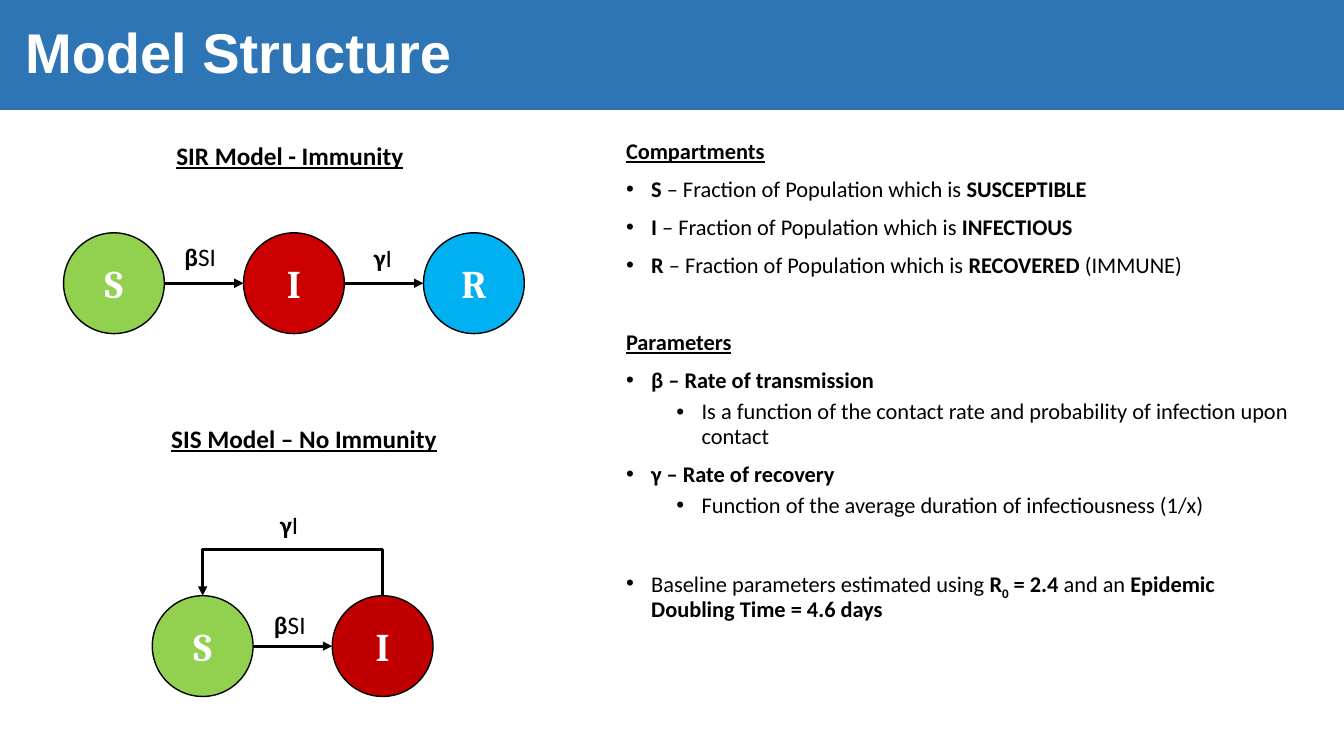
import pptx
import pptx.util
import pptx.dml.color
import pptx.enum.shapes
import pptx.enum.text
import pptx.oxml
import pptx.oxml.ns
import lxml.etree

COLOURS = {
    "band": "2E75B6",
    "susceptible": "92D050",
    "infectious": "CC0000",
    "infectious_dark": "C00000",
    "recovered": "00B0F0",
    "ink": "000000",
    "paper": "FFFFFF",
}
WIDTH = pptx.util.Inches(13.33)
HEIGHT = pptx.util.Inches(7.5)
CIRCLE_WIDTH = 7.5
CIRCLE_HEIGHT = 13.33
CIRCLE_STEP = 13.39
SIR_LEFT, SIR_TOP = 4.73, 30.8
SIS_LEFT, SIS_TOP = 11.33, 78.8
LOOP_TOP = 72.67
LABEL_HEIGHT = 5.33
SECTION_GAP = 37.6

BODY = [
    (None, 0, [("Compartments", "bu")]),
    (0, 10, [("S", "b"), (" – Fraction of Population which is ", ""), ("SUSCEPTIBLE", "b")]),
    (0, 10, [("I", "b"), (" – Fraction of Population which is ", ""), ("INFECTIOUS", "b")]),
    (0, 10, [("R", "b"), (" – Fraction of Population which is ", ""), ("RECOVERED", "b"),
             (" (IMMUNE)", "")]),
    (None, SECTION_GAP, [("Parameters", "bu")]),
    (0, 10, [("β – Rate of transmission", "b")]),
    (1, 5, [("Is a function of the contact rate and probability of infection upon contact", "")]),
    (0, 10, [("γ – Rate of recovery", "b")]),
    (1, 5, [("Function of the average duration of infectiousness (1/x)", "")]),
    (0, SECTION_GAP, [("Baseline parameters estimated using ", ""), ("R", "b"), ("0", "bs"),
                      (" = 2.4 ", "b"), ("and an ", ""),
                      ("Epidemic Doubling Time = 4.6 days", "b")]),
]


def across(percent):
    return round(WIDTH * percent / 100)


def down(percent):
    return round(HEIGHT * percent / 100)


def place(left, top, width, height):
    return across(left), down(top), across(width), down(height)


def colour(name):
    return pptx.dml.color.RGBColor.from_string(COLOURS[name])


def write_spans(para, spans, size, font="Calibri", ink="ink"):
    for text, style in spans:
        span = para.add_run()
        span.text = text
        span.font.name = font
        span.font.size = pptx.util.Pt(size)
        span.font.color.rgb = colour(ink)
        span.font.bold = "b" in style
        span.font.underline = "u" in style
        if "s" in style:
            span._r.get_or_add_rPr().set("baseline", "-25000")


def add_bullet(para, level):
    para.level = level
    properties = para._p.get_or_add_pPr()
    properties.set("marL", str(pptx.util.Inches(0.25 + 0.5 * level)))
    properties.set("indent", str(-pptx.util.Inches(0.25)))
    font = lxml.etree.SubElement(properties, pptx.oxml.ns.qn("a:buFont"))
    font.set("typeface", "Arial")
    mark = lxml.etree.SubElement(properties, pptx.oxml.ns.qn("a:buChar"))
    mark.set("char", "•")


def add_text(page, position, spans, wrap=True):
    box = page.shapes.add_textbox(*place(*position))
    box.text_frame.word_wrap = wrap
    write_spans(box.text_frame.paragraphs[0], spans, 18)


def add_body(page):
    box = page.shapes.add_textbox(*place(45.84, 17.87, 51.31, 75.6))
    frame = box.text_frame
    frame.word_wrap = True
    for index, (level, gap, spans) in enumerate(BODY):
        para = frame.add_paragraph() if index else frame.paragraphs[0]
        if level is not None:
            add_bullet(para, level)
        para.line_spacing = 0.9
        para.space_before = pptx.util.Pt(gap)
        write_spans(para, spans, 16)


def add_filled(page, kind, position, fill):
    shape = page.shapes.add_shape(kind, *place(*position))
    shape.shadow.inherit = False
    shape.fill.solid()
    shape.fill.fore_color.rgb = colour(fill)
    shape.text_frame.vertical_anchor = pptx.enum.text.MSO_ANCHOR.MIDDLE
    return shape


def add_title(page, text):
    band = add_filled(page, pptx.enum.shapes.MSO_SHAPE.RECTANGLE, (0, 0, 100, 14.53), "band")
    band.line.fill.background()
    band.text_frame.margin_left = pptx.util.Inches(0.25)
    para = band.text_frame.paragraphs[0]
    para.alignment = pptx.enum.text.PP_ALIGN.LEFT
    para.line_spacing = 0.9
    write_spans(para, [(text, "b")], 40, "Arial", "paper")


def add_compartment(page, left, top, letter, fill):
    position = (left, top, CIRCLE_WIDTH, CIRCLE_HEIGHT)
    circle = add_filled(page, pptx.enum.shapes.MSO_SHAPE.OVAL, position, fill)
    circle.line.color.rgb = colour("ink")
    circle.line.width = pptx.util.Pt(1)
    para = circle.text_frame.paragraphs[0]
    para.alignment = pptx.enum.text.PP_ALIGN.CENTER
    write_spans(para, [(letter, "b")], 28, "Cambria", "paper")


def style_arrow(arrow):
    arrow.line.color.rgb = colour("ink")
    arrow.line.width = pptx.util.Pt(2.25)
    head = lxml.etree.SubElement(arrow.line._get_or_add_ln(), pptx.oxml.ns.qn("a:tailEnd"))
    head.set("type", "triangle")


def add_flow(page, left, top):
    start = left + CIRCLE_WIDTH
    end = left + CIRCLE_STEP
    middle = down(top + CIRCLE_HEIGHT / 2)
    arrow = page.shapes.add_connector(
        pptx.enum.shapes.MSO_CONNECTOR.STRAIGHT, across(start), middle, across(end), middle)
    style_arrow(arrow)
    lxml.etree.SubElement(arrow._element.spPr, pptx.oxml.ns.qn("a:effectLst"))


def add_return_flow(page, left, top):
    target = across(left + CIRCLE_WIDTH / 2)
    source = across(left + CIRCLE_STEP + CIRCLE_WIDTH / 2)
    builder = page.shapes.build_freeform(source, down(top))
    corners = [(source, down(LOOP_TOP)), (target, down(LOOP_TOP)), (target, down(top))]
    builder.add_line_segments(corners, close=False)
    loop = builder.convert_to_shape()
    loop.fill.background()
    style_arrow(loop)
    loop.shadow.inherit = False


def add_chain(page, left, top, compartments):
    for index, (letter, fill) in enumerate(compartments):
        add_compartment(page, left + index * CIRCLE_STEP, top, letter, fill)
    for index in range(len(compartments) - 1):
        add_flow(page, left + index * CIRCLE_STEP, top)


def main():
    deck = pptx.Presentation()
    deck.slide_width, deck.slide_height = WIDTH, HEIGHT
    page = deck.slides.add_slide(deck.slide_layouts[6])
    add_body(page)
    add_title(page, "Model Structure")
    add_text(page, (12.38, 17.87, 18.53, LABEL_HEIGHT), [("SIR Model - Immunity", "bu")], False)
    add_text(page, (12, 55.33, 21.46, LABEL_HEIGHT), [("SIS Model – No Immunity", "bu")], False)
    add_chain(page, SIR_LEFT, SIR_TOP,
              [("S", "susceptible"), ("I", "infectious"), ("R", "recovered")])
    add_chain(page, SIS_LEFT, SIS_TOP, [("S", "susceptible"), ("I", "infectious_dark")])
    add_return_flow(page, SIS_LEFT, SIS_TOP)
    infection = [("β", "b"), ("SI", "")]
    recovery = [("γ", "b"), ("I", "")]
    add_text(page, (12.98, 31.2, 4.65, LABEL_HEIGHT), infection)
    add_text(page, (27.08, 31.33, 3.3, LABEL_HEIGHT), recovery)
    add_text(page, (19.65, 80, 4.65, LABEL_HEIGHT), infection)
    add_text(page, (20.1, 66.67, 3.3, LABEL_HEIGHT), recovery)
    deck.save("out.pptx")


if __name__ == "__main__":
    main()
